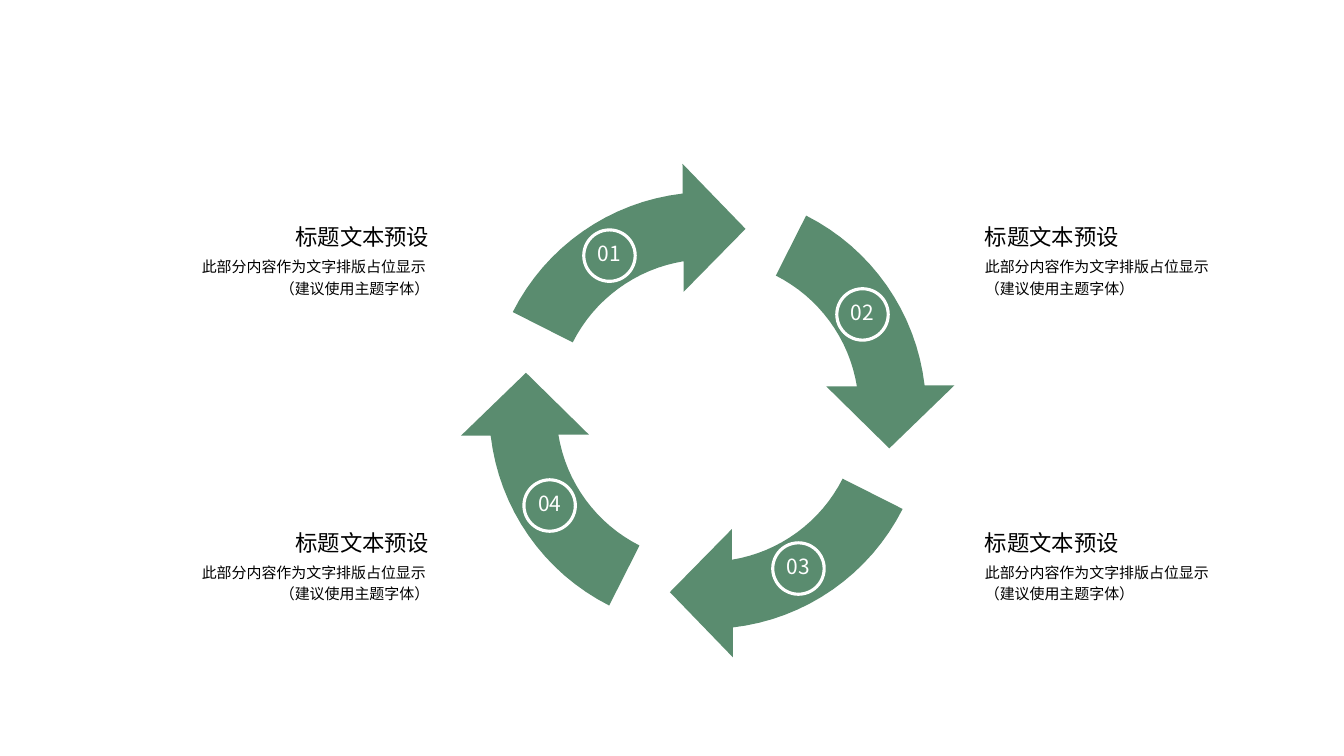
"""Build a slide with a four-arrow cycle and a captioned heading for each step."""
from math import cos, radians, sin

from lxml.etree import SubElement
from pptx import Presentation
from pptx.dml.color import RGBColor
from pptx.enum.shapes import MSO_SHAPE as Shape
from pptx.enum.text import MSO_ANCHOR as Anchor, PP_ALIGN as Align
from pptx.oxml.ns import qn
from pptx.util import Pt

PX = 9525
GREEN = RGBColor(0x5A, 0x8C, 0x6F)
WHITE = RGBColor(0xFF, 0xFF, 0xFF)
BLACK = RGBColor(0x00, 0x00, 0x00)
FONT = "Noto Sans CJK SC"
HEADING = "标题文本预设"
DETAIL = "此部分内容作为文字排版占位显示 \v（建议使用主题字体）"


def write(frame, text, size, color, align, spacing, margins):
    """Fill a text frame with one formatted paragraph."""
    frame.margin_left, frame.margin_top, frame.margin_right, frame.margin_bottom = [
        margin * PX for margin in margins]
    frame.text = text
    paragraph = frame.paragraphs[0]
    paragraph.alignment = align
    paragraph.line_spacing = spacing
    for run in paragraph.runs:
        run.font.size = Pt(size)
        run.font.name = FONT
        run.font.color.rgb = color
        SubElement(run.font._element, qn("a:ea"), typeface=FONT)


def arc(radius, start, end, steps=16):
    """Return points along an arc, with angles in degrees clockwise from the right."""
    angles = [radians(start + (end - start) * i / steps) for i in range(steps + 1)]
    return [(radius * cos(a), radius * sin(a)) for a in angles]


deck = Presentation()
deck.slide_width, deck.slide_height = 1280 * PX, 720 * PX
slide = deck.slides.add_slide(deck.slide_layouts[6])
shapes = slide.shapes

center_x, center_y = 674, 391
arrow_head = [(-24, -235), (36, -173), (-23, -113)]
outline = arc(208, 206.8, 263.4) + arrow_head + arc(144, 260.8, 206.8)
for step in range(4):
    points = [((center_x + x) * PX, (center_y + y) * PX) for x, y in outline]
    builder = shapes.build_freeform(*points[0], scale=1.0)
    builder.add_line_segments(points[1:], close=True)
    arrow = builder.convert_to_shape()
    arrow.shadow.inherit = False
    arrow.fill.solid()
    arrow.fill.fore_color.rgb = GREEN
    arrow.line.fill.background()
    outline = [(-y, x) for x, y in outline]

badge_corners = [(556, 219), (797, 275), (736, 517), (499, 457)]
for number, (left, top) in enumerate(badge_corners, 1):
    badge = shapes.add_shape(Shape.OVAL, left * PX, top * PX, 49 * PX, 49 * PX)
    badge.shadow.inherit = False
    badge.fill.solid()
    badge.fill.fore_color.rgb = GREEN
    badge.line.color.rgb = WHITE
    badge.line.width = Pt(2.25)
    badge.text_frame.word_wrap = False
    badge.text_frame.vertical_anchor = Anchor.MIDDLE
    write(badge.text_frame, f"{number:02}", 14.9, WHITE, Align.CENTER, 0.8, (12, 7, 12, 7))

columns = [(908, 302, Align.LEFT, (30, 0, 50, 0)), (133, 306, Align.RIGHT, (50, 0, 30, 0))]
for top in (500, 209):
    for left, width, align, margins in columns:
        heading = shapes.add_textbox(left * PX, top * PX, width * PX, 33 * PX).text_frame
        heading.word_wrap = True
        heading.vertical_anchor = Anchor.MIDDLE
        write(heading, HEADING, 16, BLACK, align, 1.0, margins)
        detail = shapes.add_textbox(left * PX, (top + 33) * PX, width * PX, 59 * PX).text_frame
        detail.word_wrap = True
        write(detail, DETAIL, 10.7, BLACK, align, 1.2, margins)

deck.save("out.pptx")
